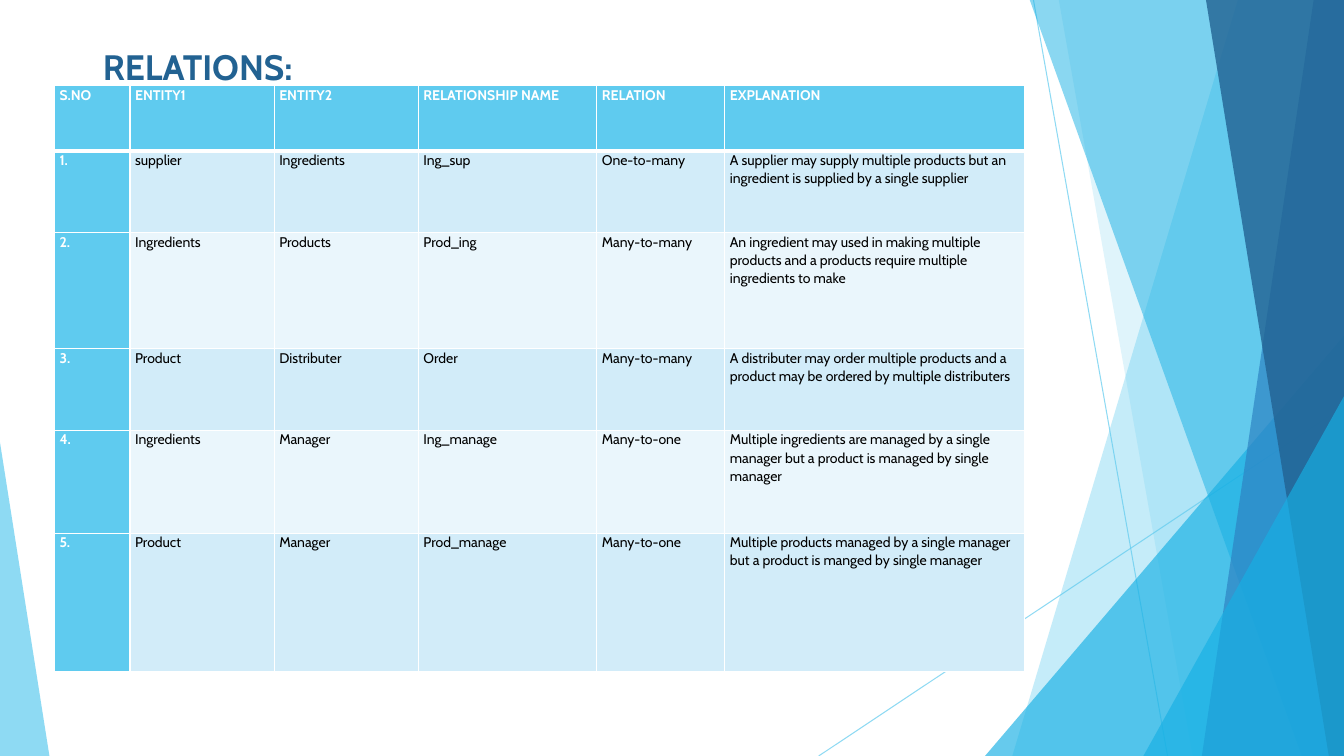
from lxml import etree
from pptx import Presentation
from pptx.dml.color import RGBColor
from pptx.enum.shapes import MSO_CONNECTOR as Connector, MSO_SHAPE as Shape
from pptx.enum.text import MSO_ANCHOR as Anchor, PP_ALIGN as Align
from pptx.oxml.ns import qn
from pptx.util import Inches, Pt

FONT = "Cabin"
COLORS = {
    "sky": "5FCBEF", "cyan": "17B0E4", "blue": "2E83C3", "navy": "226292",
    "odd": "D2ECF9", "even": "EAF6FC", "white": "FFFFFF", "black": "000000",
}


def paint(fill, color, opacity=100):
    fill.solid()
    fill.fore_color.rgb = RGBColor.from_string(COLORS[color])
    if opacity < 100:
        for element in fill._xPr.iter(qn("a:srgbClr")):
            etree.SubElement(element, qn("a:alpha"), val=str(opacity * 1000))


def style_text(paragraph, size, color, bold):
    for run in paragraph.runs:
        run.font.name = FONT
        run.font.size = Pt(size)
        run.font.bold = bold
        run.font.color.rgb = RGBColor.from_string(COLORS[color])


presentation = Presentation()
presentation.slide_width = Inches(13.33)
presentation.slide_height = Inches(7.5)
slide = presentation.slides.add_slide(presentation.slide_layouts[5])
shapes = slide.shapes

for x1, y1, x2, y2 in [(10.25, 0, 11.58, 7.5), (13.33, 4.03, 8.12, 7.5)]:
    line = shapes.add_connector(
        Connector.STRAIGHT, Inches(x1), Inches(y1), Inches(x2), Inches(y2))
    line.line.width = Pt(0.75)
    paint(line.line.fill, "sky", 70)
    etree.SubElement(line.element.spPr, qn("a:effectLst"))

facets = [
    ("band", 12.28, 10.04, "sky", 36),
    ("band", 10.5, 11.83, "sky", 20),
    ("triangle", (9.77, 3.33, 3.56, 4.17), 1, "cyan", 66),
    ("band", 10.21, 12.91, "cyan", 50),
    ("band", 13.03, 11.92, "blue", 70),
    ("band", 11.96, 13.18, "navy", 80),
    ("triangle", (11.34, 3.93, 1.99, 3.57), 1, "cyan", 66),
    ("triangle", (0, 4.39, 0.49, 3.11), 0, "sky", 70),
]
for kind, start, end, color, opacity in facets:
    if kind == "band":
        top, right, bottom = Inches(-0.01), Inches(13.33), Inches(7.5)
        builder = shapes.build_freeform(Inches(start), top)
        builder.add_line_segments(
            [(right, top), (right, bottom), (Inches(end), bottom)], close=True)
        facet = builder.convert_to_shape()
    else:
        facet = shapes.add_shape(
            Shape.ISOSCELES_TRIANGLE, *[Inches(value) for value in start])
        facet.adjustments[0] = end
    facet.shadow.inherit = False
    facet.line.fill.background()
    paint(facet.fill, color, opacity)

title = shapes.title
title.element.getparent().append(title.element)
title.left, title.top = Inches(0.92), Inches(0.4)
title.width, title.height = Inches(11.5), Inches(0.25)
title.text_frame.text = "RELATIONS:"
title.text_frame.word_wrap = True
title.text_frame.vertical_anchor = Anchor.TOP
title.text_frame.paragraphs[0].alignment = Align.LEFT
style_text(title.text_frame.paragraphs[0], 25.2, "navy", True)

relations = [
    ("S.NO", "ENTITY1", "ENTITY2", "RELATIONSHIP NAME", "RELATION", "EXPLANATION"),
    ("1.", "supplier", "Ingredients", "Ing_sup", "One-to-many",
     "A supplier may supply multiple products but an ingredient is supplied by a single supplier"),
    ("2.", "Ingredients", "Products", "Prod_ing", "Many-to-many",
     "An ingredient may used in making multiple products and a products require multiple ingredients to make"),
    ("3.", "Product", "Distributer", "Order", "Many-to-many",
     "A distributer may order multiple products and a product may be ordered by multiple distributers"),
    ("4.", "Ingredients", "Manager", "Ing_manage", "Many-to-one",
     "Multiple ingredients are managed by a single manager but a product is managed by single manager"),
    ("5.", "Product", "Manager", "Prod_manage", "Many-to-one",
     "Multiple products managed by a single manager but a product is manged by single manager"),
]
column_widths = [0.75, 1.43, 1.43, 1.77, 1.27, 2.97]
row_heights = [0.65, 0.81, 1.15, 0.81, 1.02, 1.37]
table = shapes.add_table(
    len(relations), len(column_widths),
    Inches(0.54), Inches(0.85), Inches(9.62), Inches(5.8)).table
table.first_col = True
for column, width in zip(table.columns, column_widths):
    column.width = Inches(width)
for row, height in zip(table.rows, row_heights):
    row.height = Inches(height)

for row_index, relation in enumerate(relations):
    for column_index, text in enumerate(relation):
        cell = table.cell(row_index, column_index)
        heading = row_index == 0 or column_index == 0
        cell.text_frame.text = text
        cell.margin_left = cell.margin_right = Inches(0.05)
        cell.margin_top = cell.margin_bottom = 0
        paragraph = cell.text_frame.paragraphs[0]
        paragraph.line_spacing = 1.07
        paragraph.space_after = Pt(8)
        style_text(paragraph, 10, "white" if heading else "black", heading)

        properties = cell._tc.get_or_add_tcPr()
        for side in "LRTB":
            thick = (row_index, side) in [(0, "B"), (1, "T")]
            border = etree.SubElement(
                properties, qn(f"a:ln{side}"), w=str(Pt(3 if thick else 1)))
            border_fill = etree.SubElement(border, qn("a:solidFill"))
            etree.SubElement(border_fill, qn("a:srgbClr"), val=COLORS["white"])
        paint(cell.fill, "sky" if heading else "odd" if row_index % 2 else "even")

presentation.save("out.pptx")
